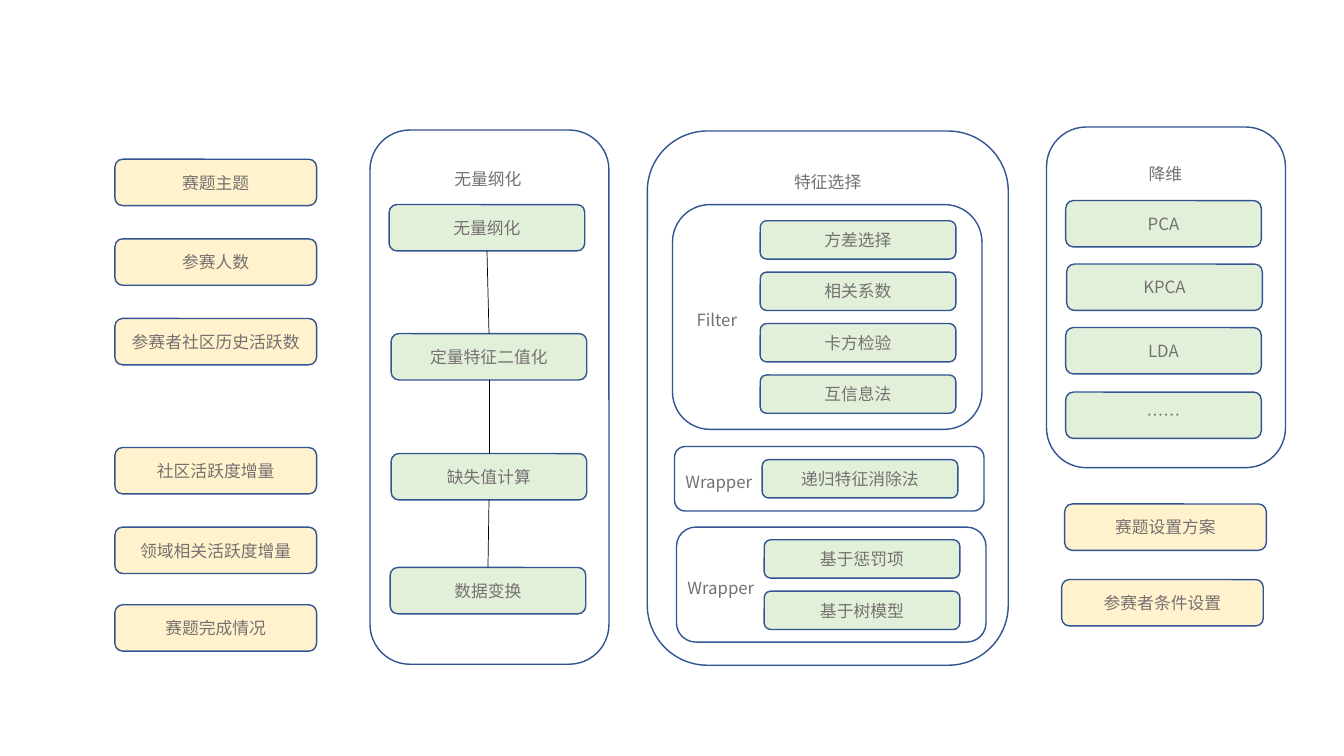
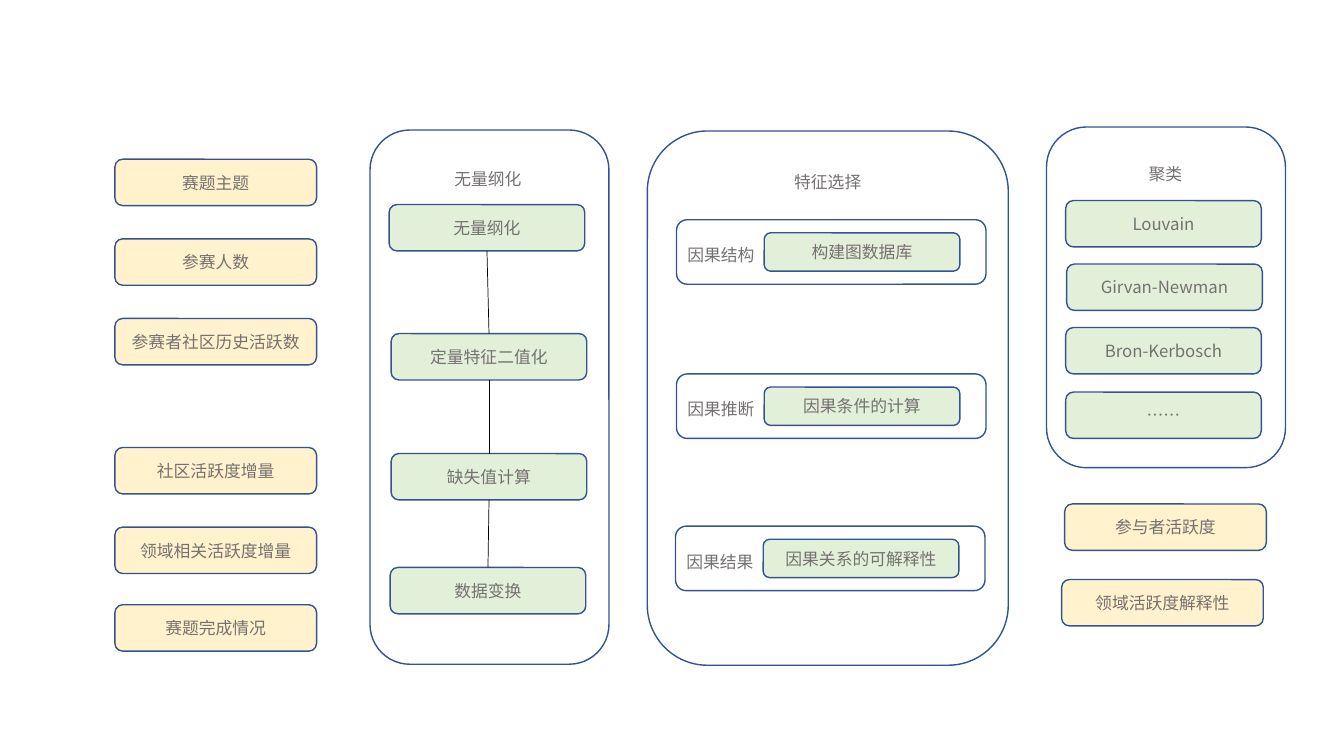
from lxml.etree import SubElement
from pptx import Presentation
from pptx.dml.color import RGBColor
from pptx.enum.shapes import MSO_CONNECTOR, MSO_SHAPE
from pptx.enum.text import MSO_ANCHOR, PP_ALIGN
from pptx.oxml.ns import qn
from pptx.util import Inches, Pt

CREAM = RGBColor(0xFF, 0xF2, 0xCC)
GREEN = RGBColor(0xE2, 0xF0, 0xD9)
NAVY = RGBColor(0x32, 0x54, 0x91)
GREY = RGBColor(0x76, 0x71, 0x71)
BLACK = RGBColor(0, 0, 0)

FONT = {"name": "Noto Sans CJK SC", "size": Pt(12)}
CHIP_W, CHIP_H = 1.94, 0.46
INPUT_W = 2
ROW_H, ROW_PITCH, ROW_DX = 0.38, 0.51, 0.87
LABEL_W, LABEL_H = 1.1, 0.3
GROUP_W = 3.07

INPUTS = [
    ("赛题主题", 0),
    ("参赛人数", 0.79),
    ("参赛者社区历史活跃数", 1.58),
    ("社区活跃度增量", 2.86),
    ("领域相关活跃度增量", 3.65),
    ("赛题完成情况", 4.42),
]
STEPS = [
    ("无量纲化", 0.19, 0.74),
    ("定量特征二值化", 0.21, 2.02),
    ("缺失值计算", 0.21, 3.21),
    ("数据变换", 0.2, 4.34),
]
METHOD_SPOTS = [(0.19, 0.73), (0.2, 1.36), (0.19, 1.99), (0.19, 2.63)]
RESULT_SPOTS = [(0.03, 0), (0, 0.75)]

SLIDES = [
    {
        "groups": [
            ("Filter", 0.25, 0.73, 2.23, ["方差选择", "相关系数", "卡方检验", "互信息法"]),
            ("Wrapper", 0.27, 3.13, 0.64, ["递归特征消除法"]),
            ("Wrapper", 0.29, 3.93, 1.14, ["基于惩罚项", "基于树模型"]),
        ],
        "method_title": "降维",
        "methods": ["PCA", "KPCA", "LDA", "……"],
        "results": ["赛题设置方案", "参赛者条件设置"],
    },
    {
        "groups": [
            ("因果结构", 0.29, 0.88, 0.64, ["构建图数据库"]),
            ("因果推断", 0.29, 2.41, 0.64, ["因果条件的计算"]),
            ("因果结果", 0.28, 3.92, 0.64, ["因果关系的可解释性"]),
        ],
        "method_title": "聚类",
        "methods": ["Louvain", "Girvan-Newman", "Bron-Kerbosch", "……"],
        "results": ["参与者活跃度", "领域活跃度解释性"],
    },
]


def write(tf, text):
    """Put one centred line in the shared text style into a text frame."""
    tf.word_wrap = True
    p = tf.paragraphs[0]
    p.alignment = PP_ALIGN.CENTER
    r = p.add_run()
    r.text = text
    for key, value in FONT.items():
        setattr(r.font, key, value)
    r.font.color.rgb = GREY
    SubElement(r.font._element, qn("a:ea")).set("typeface", FONT["name"])


def add_box(s, x, y, w, h, fill=None, text=None):
    """Add a rounded box, outlined only unless a fill is given."""
    sp = s.shapes.add_shape(
        MSO_SHAPE.ROUNDED_RECTANGLE, Inches(x), Inches(y), Inches(w), Inches(h))
    sp.shadow.inherit = False
    sp.line.color.rgb = NAVY
    sp.line.width = Pt(1)
    if fill is None:
        sp.fill.background()
    else:
        sp.fill.solid()
        sp.fill.fore_color.rgb = fill
    if text:
        sp.text_frame.vertical_anchor = MSO_ANCHOR.MIDDLE
        write(sp.text_frame, text)
    return sp


def add_label(s, x, y, text):
    """Add a plain caption."""
    sp = s.shapes.add_textbox(Inches(x), Inches(y), Inches(LABEL_W), Inches(LABEL_H))
    write(sp.text_frame, text)


def link(s, upper, lower):
    """Join the bottom of one box to the top of the next."""
    line = s.shapes.add_connector(MSO_CONNECTOR.STRAIGHT, 0, 0, 0, 0)
    line.begin_connect(upper, 2)
    line.end_connect(lower, 0)
    line.line.color.rgb = BLACK
    line.line.width = Pt(0.5)
    SubElement(line._element.spPr, qn("a:effectLst"))


def add_inputs(s, x, y):
    """Stack the input boxes."""
    for text, dy in INPUTS:
        add_box(s, x, y + dy, INPUT_W, CHIP_H, CREAM, text)


def add_steps(s, x, y):
    """Draw the preprocessing panel with its linked steps."""
    add_box(s, x, y, 2.37, 5.3)
    chips = [add_box(s, x + dx, y + dy, CHIP_W, CHIP_H, GREEN, text)
             for text, dx, dy in STEPS]
    add_label(s, x + 0.62, y + 0.33, "无量纲化")
    for upper, lower in zip(chips, chips[1:]):
        link(s, upper, lower)


def add_group(s, x, y, h, label, rows):
    """Draw a labelled frame with its rows centred vertically."""
    add_box(s, x, y, GROUP_W, h)
    top = y + (h - ROW_H - (len(rows) - 1) * ROW_PITCH) / 2
    for i, text in enumerate(rows):
        add_box(s, x + ROW_DX, top + i * ROW_PITCH, CHIP_W, ROW_H, GREEN, text)
    add_label(s, x - 0.11, y + (h - LABEL_H) / 2 + 0.03, label)


def add_selection(s, x, y, groups):
    """Draw the feature selection panel and its groups."""
    add_box(s, x, y, 3.58, 5.3)
    add_label(s, x + 1.24, y + 0.35, "特征选择")
    for label, dx, dy, h, rows in groups:
        add_group(s, x + dx, y + dy, h, label, rows)


def add_methods(s, x, y, title, methods):
    """Draw the panel of methods."""
    add_box(s, x, y, 2.37, 3.38)
    for text, (dx, dy) in zip(methods, METHOD_SPOTS):
        add_box(s, x + dx, y + dy, CHIP_W, CHIP_H, GREEN, text)
    add_label(s, x + 0.63, y + 0.32, title)


def add_results(s, x, y, results):
    """Place the result boxes."""
    for text, (dx, dy) in zip(results, RESULT_SPOTS):
        add_box(s, x + dx, y + dy, INPUT_W, CHIP_H, CREAM, text)


def add_flow_slide(prs, content):
    """Build one slide of the feature workflow."""
    s = prs.slides.add_slide(prs.slide_layouts[6])
    add_inputs(s, 1.14, 1.58)
    add_steps(s, 3.67, 1.29)
    add_selection(s, 6.42, 1.3, content["groups"])
    add_methods(s, 10.38, 1.26, content["method_title"], content["methods"])
    add_results(s, 10.53, 5, content["results"])


def main():
    """Create the presentation and save it."""
    prs = Presentation()
    prs.slide_width, prs.slide_height = Inches(13.33), Inches(7.5)
    for content in SLIDES:
        add_flow_slide(prs, content)
    prs.save("out.pptx")


if __name__ == "__main__":
    main()
